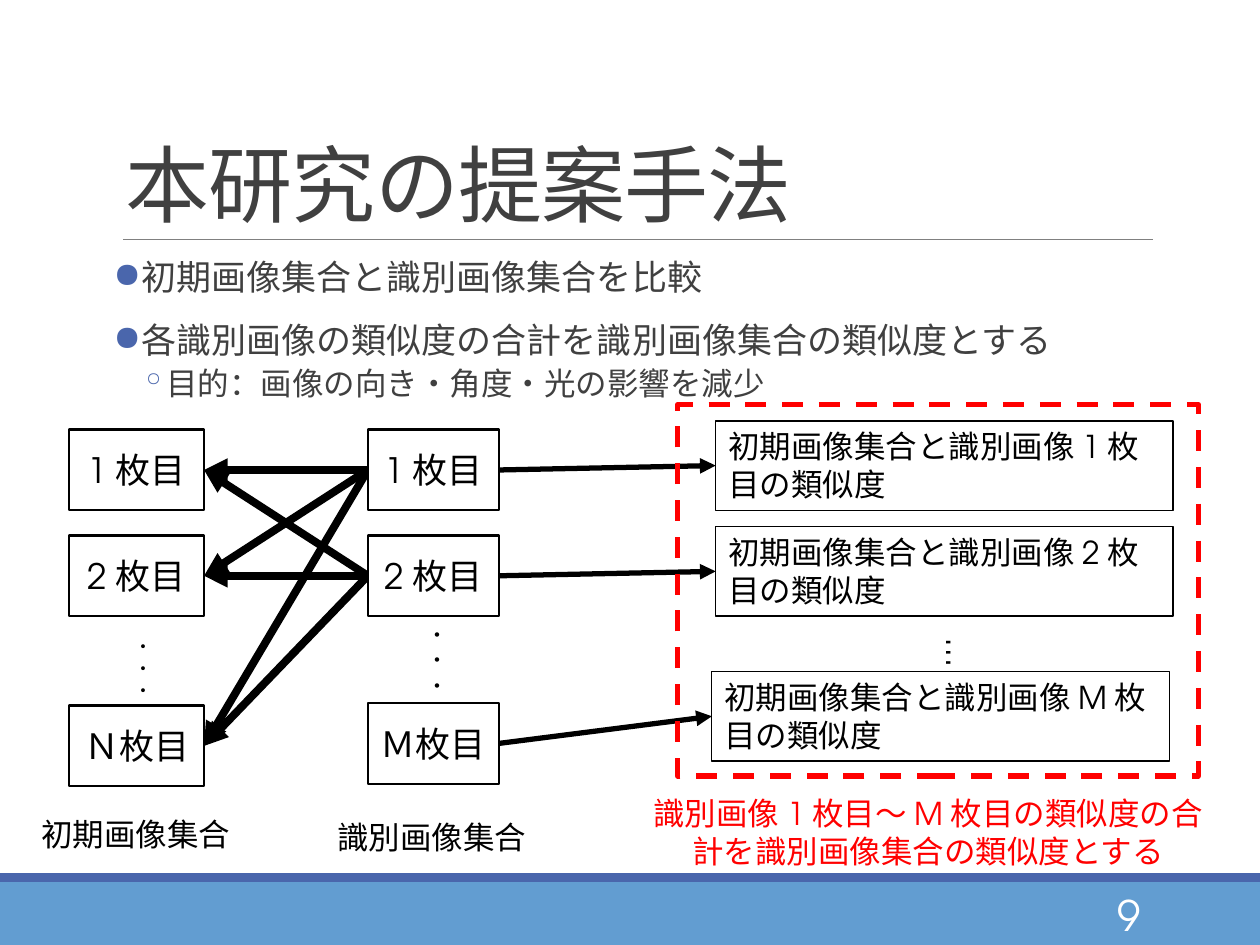
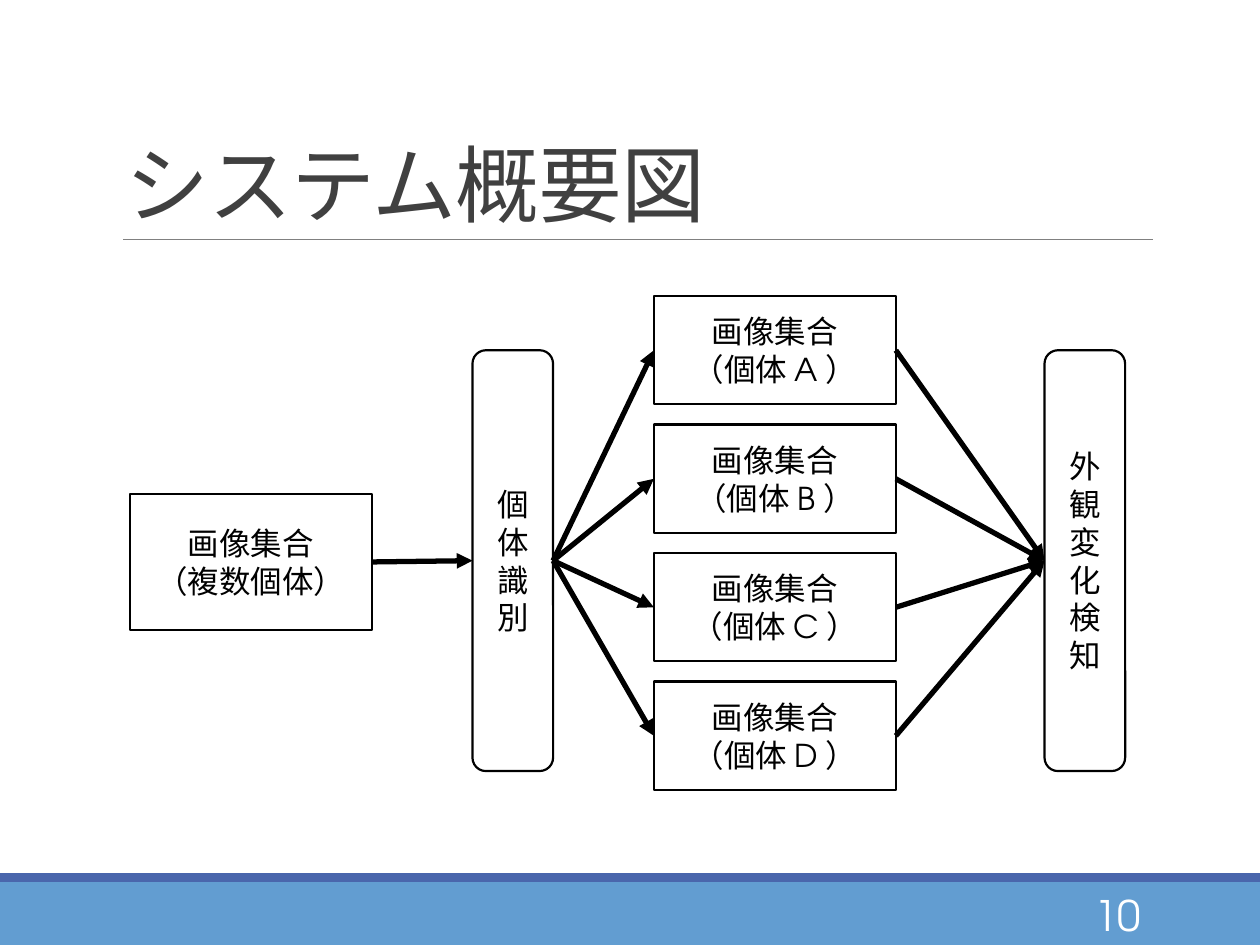
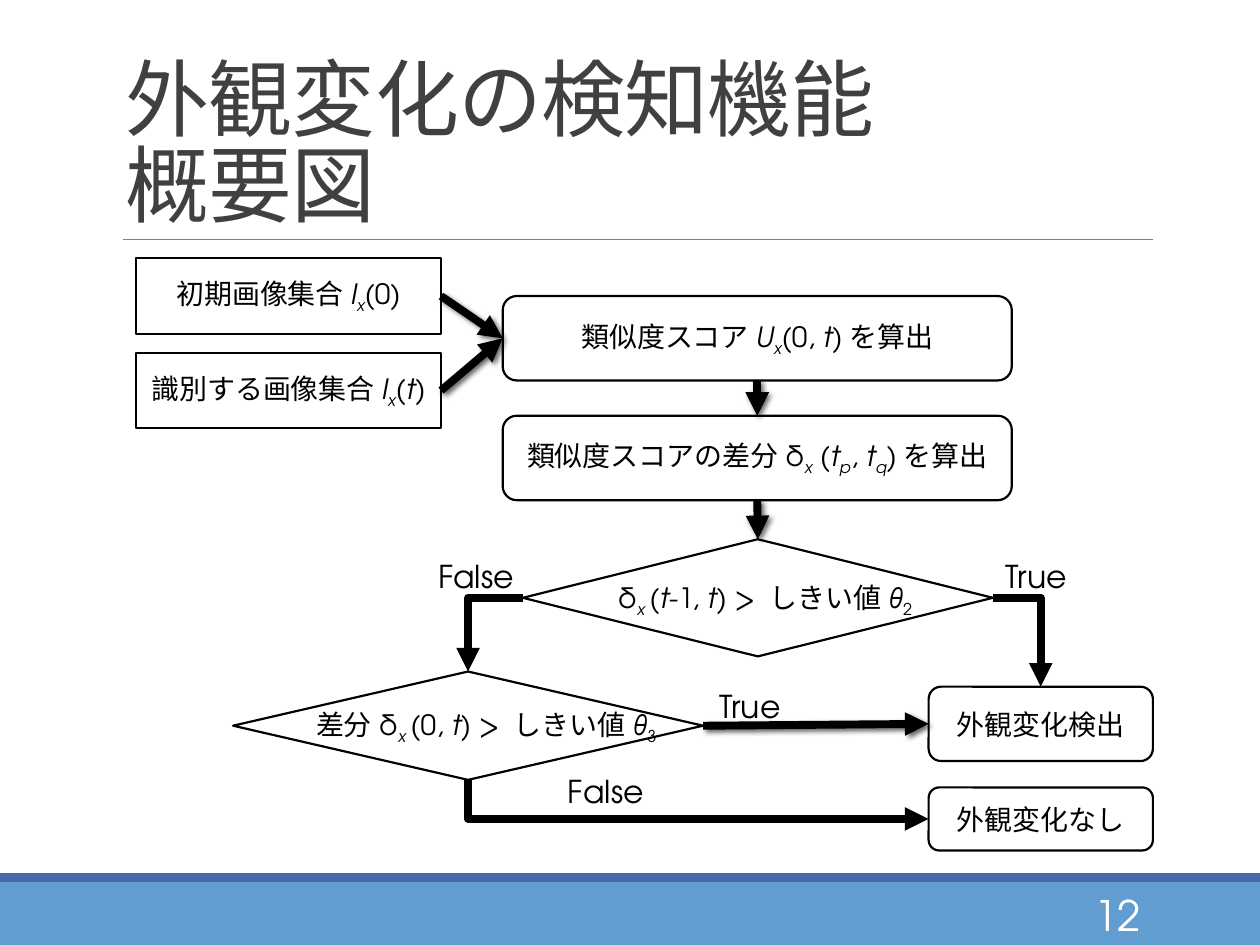
from dataclasses import dataclass, field, replace
from itertools import product
from typing import Any, NamedTuple, Optional

import pptx
import pptx.dml.color
import pptx.enum.dml
import pptx.enum.shapes
import pptx.enum.text
import pptx.oxml.ns
import pptx.presentation
import pptx.slide
import pptx.util
from lxml import etree

SHAPE = pptx.enum.shapes.MSO_SHAPE
ALIGN = pptx.enum.text.PP_ALIGN
ANCHOR = pptx.enum.text.MSO_ANCHOR


@dataclass(frozen=True)
class Theme:
    font: str = "TeX Gyre Adventor"
    ink: str = "000000"
    paper: str = "FFFFFF"
    heading: str = "404040"
    rule: str = "808080"
    band: str = "629DD1"
    accent: str = "4A66AC"
    alert: str = "FF0000"
    title_size: float = 48
    number_size: float = 24
    large: float = 20
    medium: float = 18
    formula: float = 16
    dots_large: float = 12
    dots_small: float = 10.5
    outline: float = 1.25
    thin: float = 0.75
    arrow: float = 3
    thick_arrow: float = 4.5


THEME = Theme()


class Point(NamedTuple):
    x: float
    y: float


class Box(NamedTuple):
    left: float
    top: float
    width: float
    height: float

    def at(self, across: float, down: float) -> Point:
        return Point(self.left + across * self.width, self.top + down * self.height)

    def west(self) -> Point:
        return self.at(0, 0.5)

    def east(self) -> Point:
        return self.at(1, 0.5)

    def north(self) -> Point:
        return self.at(0.5, 0)

    def south(self) -> Point:
        return self.at(0.5, 1)

    def inches(self) -> list[pptx.util.Length]:
        return [pptx.util.Inches(length) for length in self]


class Span(NamedTuple):
    text: str
    italic: bool = False
    sub: bool = False


Label = list[list[Span]]


@dataclass(frozen=True)
class Look:
    """Appearance of a box; without a kind it is a text box."""
    kind: Optional[Any] = None
    size: float = THEME.medium
    color: str = THEME.ink
    align: Any = ALIGN.LEFT
    anchor: Any = ANCHOR.TOP
    fill: Optional[str] = None
    line: Optional[str] = None
    line_width: float = THEME.outline
    dashed: bool = False
    grow: bool = False
    vertical: bool = False
    rotation: float = 0
    tracking: float = 0
    line_spacing: float = 1.0


@dataclass(frozen=True)
class Bullet:
    text: str
    size: float = THEME.large
    char: str = "●"
    level: int = 0
    margin: float = 0.1
    hanging: float = 0.1
    before: float = 12
    after: float = 2


@dataclass(frozen=True)
class Flow:
    """An arrow from start to end, optionally bent once or shadowed."""
    start: Point
    end: Point
    width: float = THEME.arrow
    color: str = THEME.ink
    bent: bool = False
    shadow: bool = False
    head: Optional[str] = field(default="tailEnd")


CAPTION = Look(grow=True)
PANEL = Look(SHAPE.RECTANGLE, align=ALIGN.CENTER, anchor=ANCHOR.MIDDLE,
             fill=THEME.paper, line=THEME.ink)
CARD = replace(PANEL, size=THEME.large)
FORMULA = replace(PANEL, size=THEME.formula)
STEP = replace(FORMULA, kind=SHAPE.ROUNDED_RECTANGLE)
STAGE = replace(PANEL, kind=SHAPE.ROUNDED_RECTANGLE)
DIAMOND = Look(SHAPE.FLOWCHART_DECISION, line=THEME.ink)
CONDITION = replace(CAPTION, size=THEME.formula)
RESULT = replace(CAPTION, line=THEME.ink, line_width=THEME.thin)
DOTS = Look(SHAPE.RECTANGLE, align=ALIGN.CENTER, fill=THEME.paper,
            grow=True, vertical=True, rotation=90)
TITLE = Look(size=THEME.title_size, color=THEME.heading, anchor=ANCHOR.BOTTOM,
             tracking=-0.5, line_spacing=0.85)
NUMBER = Look(size=THEME.number_size, color=THEME.paper, align=ALIGN.RIGHT,
              anchor=ANCHOR.MIDDLE)


def plain(*lines: str) -> Label:
    return [[Span(line)] for line in lines]


def rgb(color: str) -> pptx.dml.color.RGBColor:
    return pptx.dml.color.RGBColor.from_string(color)


def add_element(parent: Any, tag: str, **attributes: str) -> Any:
    return etree.SubElement(parent, pptx.oxml.ns.qn(tag), attributes)


def add_span(para: Any, piece: Span, size: float, color: str, tracking: float = 0) -> None:
    span = para.add_run()
    span.text = piece.text
    span.font.size = pptx.util.Pt(size)
    span.font.name = THEME.font
    span.font.color.rgb = rgb(color)
    if piece.italic:
        span.font.italic = True
    properties = span._r.get_or_add_rPr()
    if piece.sub:
        properties.set("baseline", "-25000")
    if tracking:
        properties.set("spc", str(int(tracking * 100)))
    add_element(properties, "a:ea", typeface=THEME.font)


def next_para(frame: Any, index: int) -> Any:
    return frame.add_paragraph() if index else frame.paragraphs[0]


def add_box(shapes: Any, place: Box, look: Look, label: Optional[Label] = None) -> None:
    if look.kind is None:
        box = shapes.add_textbox(*place.inches())
    else:
        box = shapes.add_shape(look.kind, *place.inches())
        box.shadow.inherit = False
    box.rotation = look.rotation
    if look.fill:
        box.fill.solid()
        box.fill.fore_color.rgb = rgb(look.fill)
    else:
        box.fill.background()
    if look.line:
        box.line.color.rgb = rgb(look.line)
        box.line.width = pptx.util.Pt(look.line_width)
        if look.dashed:
            box.line.dash_style = pptx.enum.dml.MSO_LINE.DASH
    else:
        box.line.fill.background()

    frame = box.text_frame
    frame.word_wrap = True
    frame.vertical_anchor = look.anchor
    if look.grow:
        frame.auto_size = pptx.enum.text.MSO_AUTO_SIZE.SHAPE_TO_FIT_TEXT
    if look.vertical:
        frame._txBody.bodyPr.set("vert", "eaVert")
    for index, spans in enumerate(label or []):
        para = next_para(frame, index)
        para.alignment = look.align
        para.line_spacing = look.line_spacing
        for piece in spans:
            add_span(para, piece, look.size, look.color, look.tracking)


def add_bullets(page: pptx.slide.Slide, place: Box, bullets: list[Bullet]) -> None:
    frame = page.shapes.add_textbox(*place.inches()).text_frame
    frame.word_wrap = True
    frame.margin_left = frame.margin_right = 0
    for index, bullet in enumerate(bullets):
        para = next_para(frame, index)
        para.level = bullet.level
        para.line_spacing = 0.9
        para.space_before = pptx.util.Pt(bullet.before if index else 0)
        para.space_after = pptx.util.Pt(bullet.after)
        properties = para._p.get_or_add_pPr()
        properties.set("marL", str(pptx.util.Inches(bullet.margin)))
        properties.set("indent", str(-pptx.util.Inches(bullet.hanging)))
        add_element(add_element(properties, "a:buClr"), "a:srgbClr", val=THEME.accent)
        add_element(properties, "a:buChar", char=bullet.char)
        add_span(para, Span(bullet.text), bullet.size, THEME.heading)


def add_flow(page: pptx.slide.Slide, flow: Flow) -> None:
    kinds = pptx.enum.shapes.MSO_CONNECTOR
    connector = page.shapes.add_connector(
        kinds.ELBOW if flow.bent else kinds.STRAIGHT,
        *[pptx.util.Inches(length) for length in (*flow.start, *flow.end)])
    connector.line.color.rgb = rgb(flow.color)
    connector.line.width = pptx.util.Pt(flow.width)
    properties = connector._element.spPr
    if flow.bent:
        properties.find(pptx.oxml.ns.qn("a:prstGeom")).set("prst", "bentConnector2")
    if flow.head:
        add_element(properties.find(pptx.oxml.ns.qn("a:ln")), f"a:{flow.head}", type="triangle")
    effects = add_element(properties, "a:effectLst")
    if flow.shadow:
        shadow = add_element(effects, "a:outerShdw", blurRad=str(pptx.util.Pt(3)),
                             dist=str(pptx.util.Pt(2)), dir="2700000", rotWithShape="0")
        color = add_element(shadow, "a:srgbClr", val=THEME.ink)
        add_element(color, "a:alpha", val="60000")


def add_page(deck: pptx.presentation.Presentation, number: int, *title: str) -> pptx.slide.Slide:
    """Add a page with the shared bands, rule, title and page number."""
    page = deck.slides.add_slide(deck.slide_layouts[6])
    add_box(page.shapes, Box(0, 7, 10, 0.5), Look(SHAPE.RECTANGLE, fill=THEME.band))
    add_box(page.shapes, Box(0, 6.93, 10, 0.07), Look(SHAPE.RECTANGLE, fill=THEME.accent))
    add_flow(page, Flow(Point(0.98, 1.9), Point(9.15, 1.9), 0.5, THEME.rule, head=None))
    add_box(page.shapes, Box(0.9, 0.31, 8.25, 1.59), TITLE, plain(*title))
    add_box(page.shapes, Box(8.07, 7.06, 1.08, 0.4), NUMBER, plain(str(number)))
    return page


def build_method(deck: pptx.presentation.Presentation) -> None:
    page = add_page(deck, 9, "本研究の提案手法")
    shapes = page.shapes
    add_bullets(page, Box(0.9, 2.02, 8.25, 4.4), [
        Bullet("初期画像集合と識別画像集合を比較"),
        Bullet("各識別画像の類似度の合計を識別画像集合の類似度とする"),
        Bullet("目的：画像の向き・角度・光の影響を減少", THEME.medium, "◦", 1, 0.42, 0.2, 2, 4),
    ])

    initial = [Box(0.55, top, 1.07, 0.64) for top in (3.41, 4.25, 5.6)]
    targets = [Box(2.92, top, 1.04, 0.64) for top in (3.41, 4.25, 5.58)]
    results = [Box(5.68, 3.34, 3.63, 0.71), Box(5.68, 4.18, 3.63, 0.71),
               Box(5.65, 5.33, 3.63, 0.71)]

    add_box(shapes, Box(0.75, 5.05, 0.74, 0.38), replace(DOTS, size=THEME.dots_small),
            plain("・・・"))
    add_box(shapes, Box(3.04, 4.97, 0.81, 0.42), replace(DOTS, size=THEME.dots_large),
            plain("・・・"))
    for target, start in product(targets[:2], initial):
        add_flow(page, Flow(target.west(), start.east(), THEME.thick_arrow))
    for places, names in ((initial, "12Ｎ"), (targets, "12Ｍ")):
        for place, name in zip(places, names):
            add_box(shapes, place, CARD, plain(f"{name}枚目"))
    add_box(shapes, Box(0.23, 6.42, 1.76, 0.4), CAPTION, plain("初期画像集合"))
    add_box(shapes, Box(2.58, 6.44, 1.71, 0.4), CAPTION, plain("識別画像集合"))

    for target, result, name in zip(targets, results, "12M"):
        add_box(shapes, result, RESULT, plain(f"初期画像集合と識別画像{name}枚目の類似度"))
        add_flow(page, Flow(target.east(), result.west()))
    add_box(shapes, Box(5.38, 3.21, 4.13, 2.95),
            Look(SHAPE.RECTANGLE, line=THEME.alert, line_width=3, dashed=True))
    add_box(shapes, Box(7.3, 4.97, 0.54, 0.33),
            replace(CAPTION, size=THEME.large, align=ALIGN.CENTER, vertical=True), plain("…"))
    add_box(shapes, Box(5.04, 6.25, 4.65, 0.71),
            replace(CAPTION, color=THEME.alert, align=ALIGN.CENTER),
            plain("識別画像1枚目～M枚目の類似度の合計を識別画像集合の類似度とする"))


def build_system(deck: pptx.presentation.Presentation) -> None:
    page = add_page(deck, 10, "システム概要図")
    mixed = Box(1.03, 3.92, 1.92, 1.08)
    identify = Box(3.75, 2.78, 0.64, 3.34)
    detect = identify._replace(left=8.29)

    add_box(page.shapes, mixed, PANEL, plain("画像集合", "（複数個体）"))
    add_box(page.shapes, identify, STAGE, plain("個体識別"))
    add_box(page.shapes, detect, STAGE, plain("外観変化検知"))
    add_flow(page, Flow(mixed.east(), identify.west()))
    for row, name in enumerate("ABCD"):
        individual = Box(5.19, 2.35 + 1.02 * row, 1.92, 0.86)
        add_box(page.shapes, individual, PANEL, plain("画像集合", f"（個体{name}）"))
        add_flow(page, Flow(identify.east(), individual.west()))
        add_flow(page, Flow(individual.east(), detect.west()))


def build_detection(deck: pptx.presentation.Presentation) -> None:
    page = add_page(deck, 12, "外観変化の検知機能", "概要図")
    shapes = page.shapes
    time = Span("t", italic=True)
    sub_x = Span("x", italic=True, sub=True)
    sub_x_gap = Span("x ", italic=True, sub=True)
    image = Span("I", italic=True)
    theta = Span("θ", italic=True)
    above = Span(") > しきい値")

    initial = Box(1.08, 2.05, 2.42, 0.6)
    target = initial._replace(top=2.8)
    score = Box(3.99, 2.35, 4.04, 0.67)
    difference = score._replace(top=3.3)
    recent = Box(4.15, 4.28, 3.73, 0.93)
    overall = Box(1.85, 5.33, 3.73, 0.86)
    changed = Box(7.37, 5.45, 1.78, 0.59)
    unchanged = Box(7.37, 6.25, 1.78, 0.5)

    steps = [
        (initial, FORMULA, [Span("初期画像集合"), image, sub_x, Span("(0)")]),
        (target, FORMULA, [Span("識別する画像集合"), image, sub_x, Span("("), time, Span(")")]),
        (score, STEP, [Span("類似度スコア"), Span("U", italic=True), sub_x, Span("(0, "),
                       time, Span(")を算出")]),
        (difference, STEP, [Span("類似度スコアの差分δ"), sub_x, Span(" ("),
                            time, Span("p", True, True), Span(", "),
                            time, Span("q", True, True), Span(")を算出")]),
        (changed, STEP, [Span("外観変化検出")]),
        (unchanged, STEP, [Span("外観変化なし")]),
    ]
    for place, look, spans in steps:
        add_box(shapes, place, look, [spans])

    decisions = [
        (recent, Box(4.61, 4.56, 2.92, 0.32), ALIGN.CENTER,
         [Span("δ"), sub_x_gap, Span("("), time, Span("-1, "), time, above,
          theta, Span("2", sub=True)]),
        (overall, Box(2.41, 5.57, 2.92, 0.3), ALIGN.LEFT,
         [Span("差分δ"), sub_x_gap, Span("(0, "), time, above, theta, Span("3", sub=True)]),
    ]
    for place, text_place, align, spans in decisions:
        group = page.shapes.add_group_shape()
        add_box(group.shapes, text_place, replace(CONDITION, align=align), [spans])
        add_box(group.shapes, place, DIAMOND)

    for start, end in (
        (initial.east(), score.west()),
        (target.east(), score.west()),
        (score.south(), difference.north()),
        (difference.south(), recent.north()),
        (overall.east(), changed.west()),
    ):
        add_flow(page, Flow(start, end, THEME.thick_arrow, shadow=True))
    for start, end, head in (
        (recent.east(), changed.north(), "tailEnd"),
        (recent.west(), overall.north(), "tailEnd"),
        (unchanged.west(), overall.south(), "headEnd"),
    ):
        add_flow(page, Flow(start, end, THEME.thick_arrow, bent=True, head=head))

    for place, answer in (
        (Box(7.88, 4.37, 0.77, 0.4), "True"),
        (Box(3.38, 4.37, 1.5, 0.4), "False"),
        (Box(4.41, 6.08, 1.5, 0.4), "False"),
        (Box(5.61, 5.4, 0.77, 0.4), "True"),
    ):
        add_box(shapes, place, CAPTION, plain(answer))


def main() -> None:
    deck = pptx.Presentation()
    deck.slide_width = pptx.util.Inches(10)
    deck.slide_height = pptx.util.Inches(7.5)
    build_method(deck)
    build_system(deck)
    build_detection(deck)
    deck.save("out.pptx")


if __name__ == "__main__":
    main()
